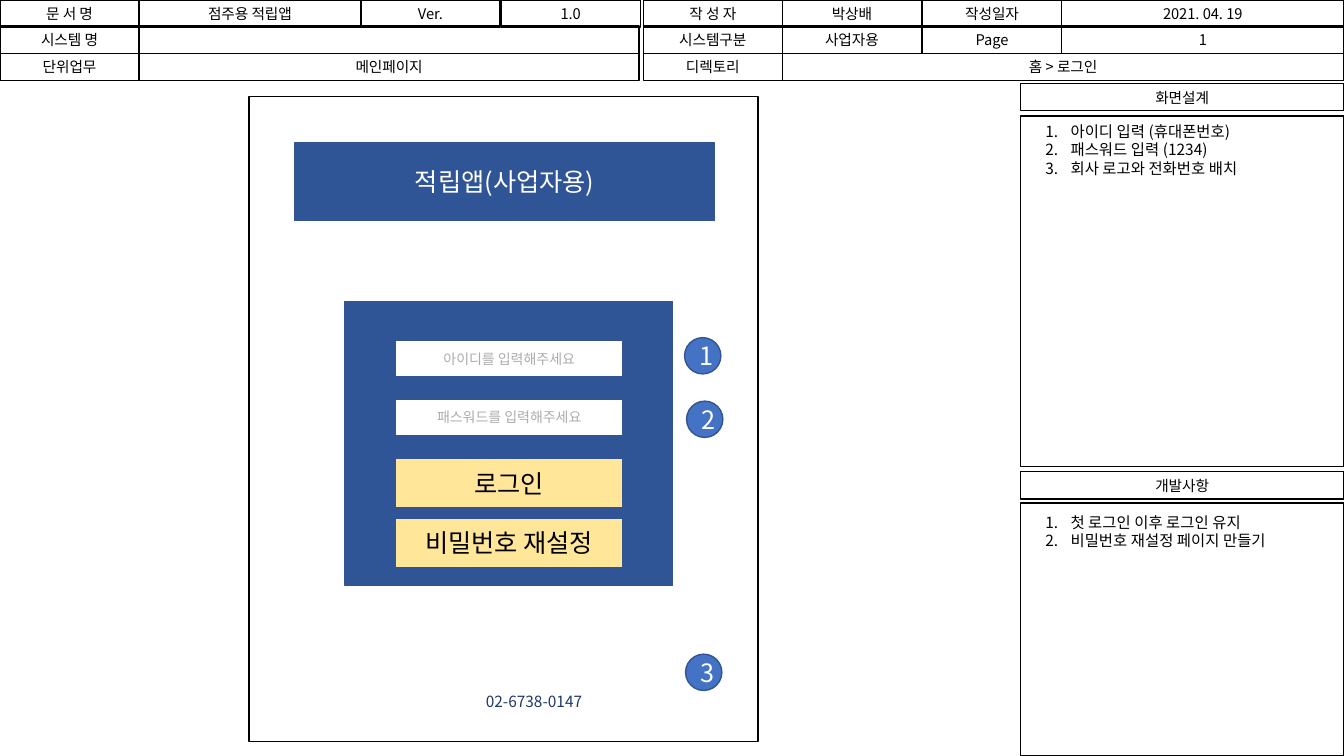
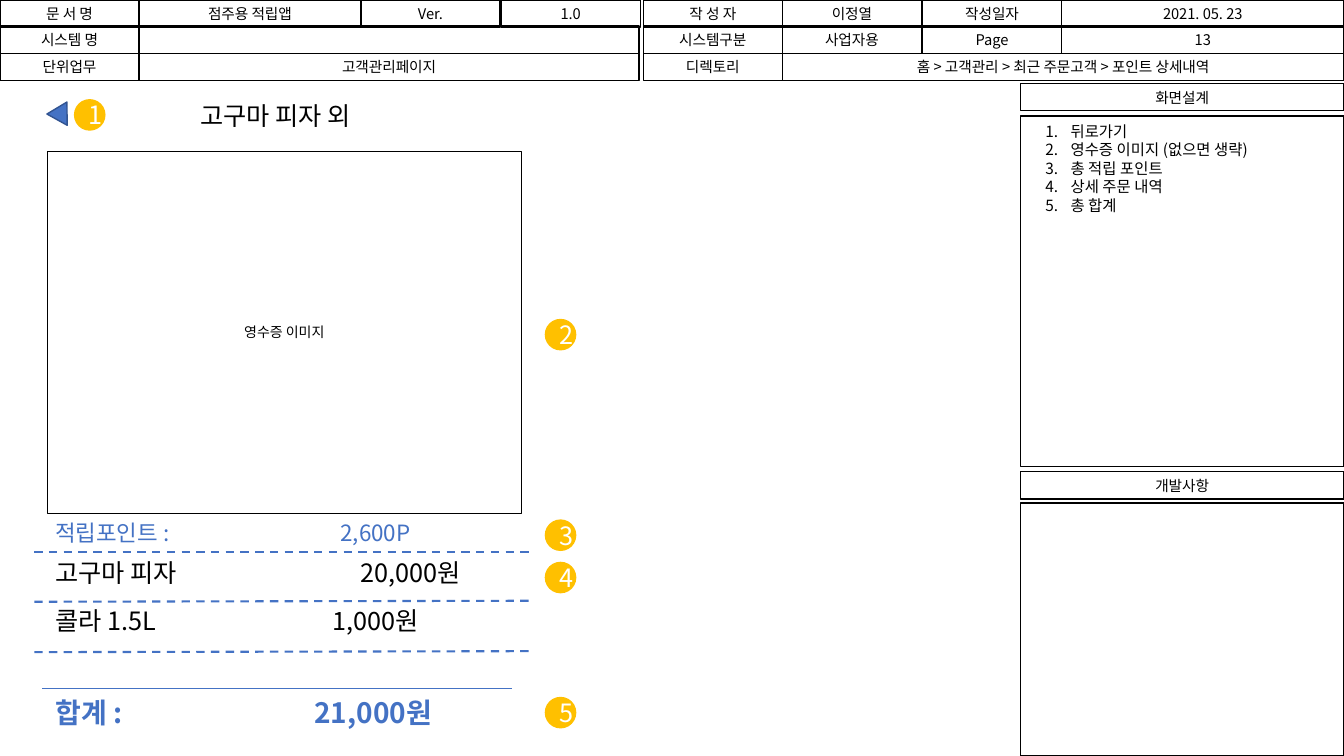
from lxml import etree
from pptx import Presentation
from pptx.dml.color import RGBColor
from pptx.enum import dml, shapes, text
from pptx.oxml import ns
from pptx.util import Inches, Pt

FONT = "Noto Sans CJK KR"
BLACK = RGBColor(0x00, 0x00, 0x00)
WHITE = RGBColor(0xFF, 0xFF, 0xFF)
BLUE = RGBColor(0x44, 0x72, 0xC4)
PANEL_BLUE = RGBColor(0x2F, 0x55, 0x97)
EDGE_BLUE = RGBColor(0x32, 0x54, 0x91)
NAVY = RGBColor(0x20, 0x38, 0x64)
GREY = RGBColor(0xAF, 0xAB, 0xAB)
PALE_YELLOW = RGBColor(0xFF, 0xE6, 0x99)
AMBER = RGBColor(0xFF, 0xC0, 0x00)

RECT = shapes.MSO_SHAPE.RECTANGLE
OVAL = shapes.MSO_SHAPE.OVAL
TRIANGLE = shapes.MSO_SHAPE.ISOSCELES_TRIANGLE


def write(shape, lines, size, color=BLACK, bold=None, align=None, numbered=False, tab=None):
    """Fill a shape with one paragraph per line, optionally numbered or with a tab stop in inches."""
    frame = shape.text_frame
    frame.word_wrap = True
    for index, line in enumerate(lines):
        paragraph = frame.paragraphs[0] if index == 0 else frame.add_paragraph()
        paragraph.text = line
        paragraph.alignment = align
        paragraph.line_spacing = Pt(round(size * 1.2, 1))
        properties = paragraph._p.get_or_add_pPr()
        if numbered:
            properties.set("marL", str(Inches(0.25)))
            properties.set("indent", str(-Inches(0.25)))
            etree.SubElement(properties, ns.qn("a:buAutoNum"), type="arabicPeriod")
        if tab:
            stops = etree.SubElement(properties, ns.qn("a:tabLst"))
            etree.SubElement(stops, ns.qn("a:tab"), pos=str(Inches(tab)), algn="l")
        font = paragraph.font
        font.name, font.size, font.bold = FONT, Pt(size), bold
        font.color.rgb = color
        latin = font._element.find(ns.qn("a:latin"))
        latin.addnext(latin.makeelement(ns.qn("a:ea"), {"typeface": FONT}))


def add_box(slide, at, label="", size=10.5, color=BLACK, fill=None, edge=BLACK, weight=1, kind=RECT):
    box = slide.shapes.add_shape(kind, *map(Inches, at))
    box.shadow.inherit = False
    if fill is None:
        box.fill.background()
    else:
        box.fill.solid()
        box.fill.fore_color.rgb = fill
    box.line.color.rgb = edge
    box.line.width = Pt(weight)
    if label:
        box.text_frame.vertical_anchor = text.MSO_ANCHOR.MIDDLE
        write(box, [label], size, color, align=text.PP_ALIGN.CENTER)
    return box


prs = Presentation()
prs.slide_width, prs.slide_height = Inches(13.33), Inches(7.5)

pages = [
    dict(author="박상배", date="2021. 04. 19", number="1", task="메인페이지",
         directory="홈 > 로그인",
         design=["아이디 입력 (휴대폰번호)", "패스워드 입력 (1234)", "회사 로고와 전화번호 배치"],
         development=["첫 로그인 이후 로그인 유지", "비밀번호 재설정 페이지 만들기"]),
    dict(author="이정열", date="2021. 05. 23", number="13", task="고객관리페이지",
         directory="홈 > 고객관리 > 최근 주문고객 > 포인트 상세내역",
         design=["뒤로가기", "영수증 이미지 (없으면 생략)", "총 적립 포인트", "상세 주문 내역", "총 합계"],
         development=[]),
]

# Shared frame: document header and the two note panels
ROW = 0.27
for page in pages:
    slide = page["slide"] = prs.slides.add_slide(prs.slide_layouts[6])
    header_rows = [
        [(0, 1.38, "문 서 명"), (1.38, 2.2, "점주용 적립앱"), (3.58, 1.38, "Ver."), (4.97, 1.38, "1.0"),
         (6.38, 1.38, "작 성 자"), (7.76, 1.38, page["author"]),
         (9.15, 1.38, "작성일자"), (10.53, 2.8, page["date"])],
        [(0, 1.38, "시스템 명"), (1.38, 4.96, ""), (6.38, 1.38, "시스템구분"), (7.76, 1.38, "사업자용"),
         (9.15, 1.38, "Page"), (10.53, 2.8, page["number"])],
        [(0, 1.38, "단위업무"), (1.38, 4.96, page["task"]),
         (6.38, 1.38, "디렉토리"), (7.76, 5.57, page["directory"])],
    ]
    for top, cells in zip((0, 0.26, 0.53), header_rows):
        for left, width, label in cells:
            add_box(slide, (left, top, width, ROW), label)

    for title, title_top, top, height, notes_top, notes in [
        ("화면설계", 0.83, 1.15, 3.48, 1.16, page["design"]),
        ("개발사항", 4.68, 4.99, 2.51, 5.04, page["development"]),
    ]:
        add_box(slide, (10.12, title_top, 3.21, ROW), title)
        add_box(slide, (10.12, top, 3.21, height))
        if notes:
            notes_box = slide.shapes.add_textbox(*map(Inches, (10.27, notes_top, 3.06, 1.03)))
            write(notes_box, notes, 11, numbered=True)

# Login screen
login = pages[0]["slide"]
add_box(login, (2.47, 0.96, 5.05, 6.4), fill=WHITE)
add_box(login, (2.92, 1.42, 4.17, 0.77), "적립앱(사업자용)", 18, WHITE, PANEL_BLUE, EDGE_BLUE)
add_box(login, (3.42, 2.99, 3.25, 2.82), fill=PANEL_BLUE, edge=EDGE_BLUE)
for top, hint in [(3.38, "아이디를 입력해주세요"), (3.96, "패스워드를 입력해주세요")]:
    add_box(login, (3.92, top, 2.26, 0.36), hint, 10, GREY, WHITE, EDGE_BLUE)
for top, action in [(4.55, "로그인"), (5.14, "비밀번호 재설정")]:
    add_box(login, (3.92, top, 2.26, 0.49), action, 18, BLACK, PALE_YELLOW, EDGE_BLUE)
phone = login.shapes.add_textbox(*map(Inches, (4.72, 6.82, 2.82, 0.29)))
write(phone, ["02-6738-0147"], 11, NAVY)
for number, (left, top) in enumerate([(6.79, 3.35), (6.81, 3.98), (6.8, 6.49)], 1):
    add_box(login, (left, top, 0.36, 0.36), str(number), 18, WHITE, BLUE, EDGE_BLUE, kind=OVAL)

# Point details screen
details = pages[1]["slide"]
back_arrow = add_box(details, (0.5, 1, 0.23, 0.2), fill=BLUE, edge=EDGE_BLUE, kind=TRIANGLE)
back_arrow.rotation = 29.1
heading = details.shapes.add_textbox(*map(Inches, (1.89, 0.95, 1.91, 0.4)))
write(heading, ["고구마 피자 외"], 18)
add_box(details, (0.47, 1.5, 4.7, 3.59), "영수증 이미지", 10, BLACK, WHITE, weight=0.25)

for top, item, amount, size, color, bold, tab in [
    (5.1, "적립포인트 :", "2,600P", 16, BLUE, None, 2.83),
    (5.48, "고구마 피자", "20,000원", 18, BLACK, None, 3.03),
    (5.96, "콜라 1.5L", "1,000원", 18, BLACK, None, 2.75),
    (6.85, "합계 :", "21,000원", 20, BLUE, True, 2.57),
]:
    receipt_line = details.shapes.add_textbox(*map(Inches, (0.45, top, 4.83, 0.4)))
    write(receipt_line, [f"{item}\t{amount}"], size, color, bold, tab=tab)

for left, right, start, end, weight, dash in [
    (0.34, 5.28, 5.48, 5.48, 1.5, dml.MSO_LINE.DASH),
    (0.34, 5.28, 5.97, 5.96, 1.5, dml.MSO_LINE.DASH),
    (0.34, 5.28, 6.47, 6.46, 1.5, dml.MSO_LINE.DASH),
    (0.42, 5.08, 6.83, 6.83, 0.5, None),
]:
    divider = details.shapes.add_connector(
        shapes.MSO_CONNECTOR.STRAIGHT, *map(Inches, (left, start, right, end)))
    divider.line.color.rgb = BLUE
    divider.line.width = Pt(weight)
    divider.line.dash_style = dash
    etree.SubElement(divider._element.spPr, ns.qn("a:effectLst"))

markers = [(0.74, 0.99), (5.41, 3.17), (5.41, 5.16), (5.41, 5.58), (5.41, 6.92)]
for number, (left, top) in enumerate(markers, 1):
    add_box(details, (left, top, 0.3, 0.3), str(number), 18, WHITE, AMBER, AMBER, kind=OVAL)

prs.save("out.pptx")
